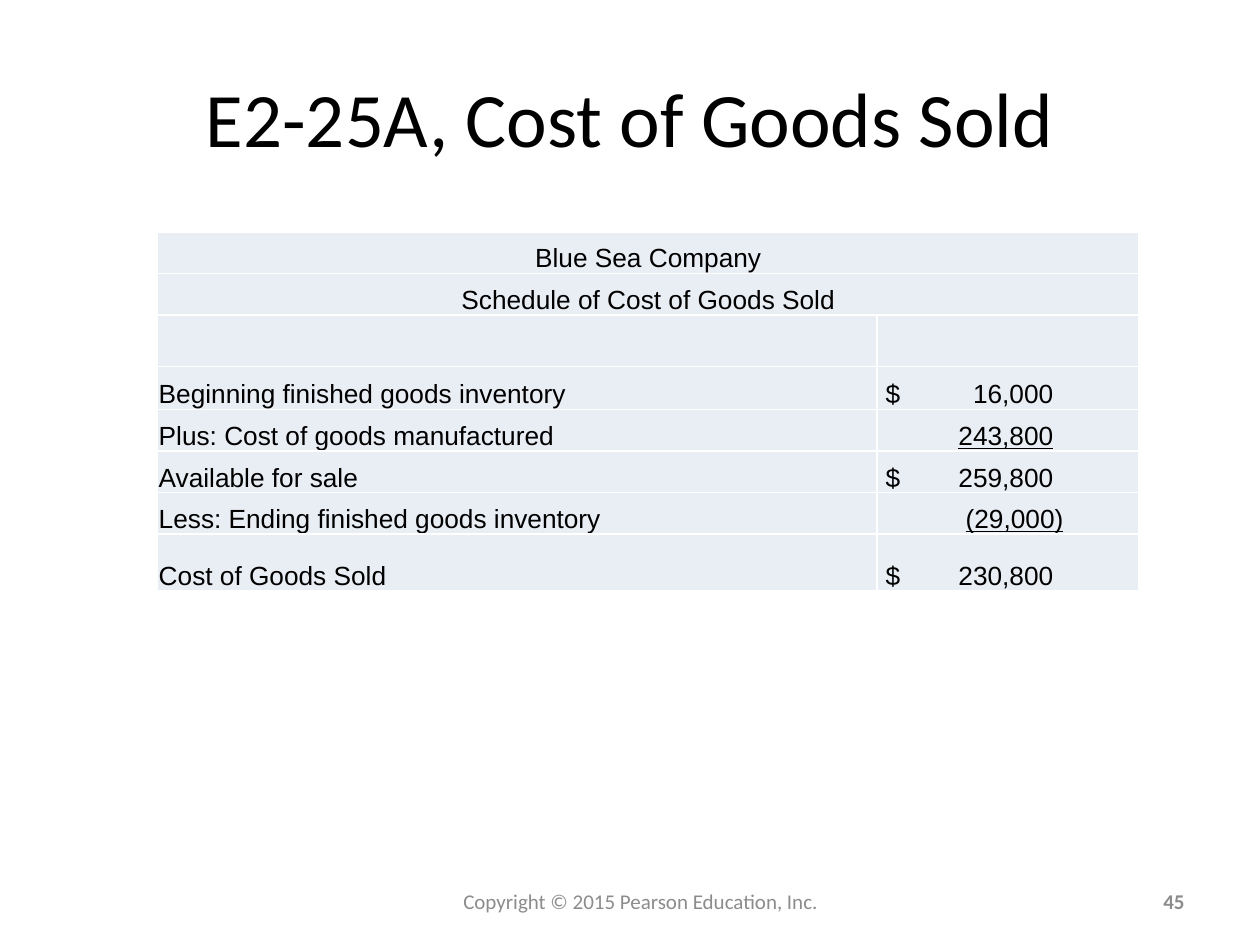
"""Build the cost of goods sold schedule slide."""
from lxml import etree
from pptx import Presentation, util as u
from pptx.dml.color import RGBColor
from pptx.enum import text
from pptx.oxml.ns import qn

LEFT, CENTER, RIGHT = text.PP_ALIGN.LEFT, text.PP_ALIGN.CENTER, text.PP_ALIGN.RIGHT


def color(value):
    return RGBColor.from_string(value)


def write(tf, content, size=15, font="Arial", fill="000000", align=LEFT,
          bold=False, underline=False, stops=()):
    p = tf.paragraphs[0]
    p.alignment = align
    if stops:
        tabs = etree.SubElement(p._p.get_or_add_pPr(), qn("a:tabLst"))
        for pos, side in stops:
            etree.SubElement(tabs, qn("a:tab"), pos=str(u.Inches(pos)), algn=side)
    r = p.add_run()
    r.text = content
    r.font.size = u.Pt(size)
    r.font.name = font
    r.font.bold = bold
    r.font.underline = underline
    r.font.color.rgb = color(fill)


prs = Presentation()
prs.slide_width, prs.slide_height = u.Inches(10), u.Inches(7.5)
s = prs.slides.add_slide(prs.slide_layouts[6])

labels = [
    ("E2-25A, Cost of Goods Sold", (0.5, 0.3, 9, 1.25), dict(size=44, align=CENTER)),
    ("45", (7.17, 6.95, 2.33, 0.4),
     dict(size=12, fill="8C8C8C", align=RIGHT, bold=True)),
    ("Copyright © 2015 Pearson Education, Inc.", (3.42, 6.95, 3.33, 0.4),
     dict(size=12, fill="8C8C8C", align=CENTER)),
]
for content, box, style in labels:
    tf = s.shapes.add_textbox(*[u.Inches(v) for v in box]).text_frame
    tf.word_wrap = True
    tf.vertical_anchor = text.MSO_ANCHOR.MIDDLE
    write(tf, content, font="Calibri", **style)

dollar = dict(stops=[(0.06, "l"), (1.39, "r")])
rows = [
    (0.33, "Blue Sea Company", None, {}),
    (0.33, "Schedule of Cost of Goods Sold", None, {}),
    (0.41, "", "", {}),
    (0.34, "Beginning finished goods inventory", "\t$\t16,000", dollar),
    (0.33, "Plus: Cost of goods manufactured", "\t243,800",
     dict(underline=True, stops=[(1.39, "r")])),
    (0.33, "Available for sale", "\t$\t259,800", dollar),
    (0.33, "Less: Ending finished goods inventory", "\t(29,000)",
     dict(underline=True, stops=[(1.47, "r")])),
    (0.45, "Cost of Goods Sold", "\t$\t230,800", dollar),
]
table = s.shapes.add_table(len(rows), 2, u.Inches(1.25), u.Inches(1.84),
                           u.Inches(7.79), u.Inches(2.85)).table
table.first_row = table.horz_banding = False
table.columns[0].width, table.columns[1].width = u.Inches(5.71), u.Inches(2.08)

for i, (height, label, amount, style) in enumerate(rows):
    table.rows[i].height = u.Inches(height)
    for cell in table.rows[i].cells:
        cell.margin_left = cell.margin_right = cell.margin_top = u.Inches(0.01)
        cell.margin_bottom = 0
        cell.vertical_anchor = text.MSO_ANCHOR.BOTTOM
        for side in ("lnL", "lnR", "lnT", "lnB"):
            ln = etree.SubElement(cell._tc.get_or_add_tcPr(), qn("a:" + side),
                                  w=str(u.Pt(1)))
            solid = etree.SubElement(ln, qn("a:solidFill"))
            etree.SubElement(solid, qn("a:srgbClr"), val="FFFFFF")
        cell.fill.solid()
        cell.fill.fore_color.rgb = color("E9EDF4")
    first, second = table.cell(i, 0), table.cell(i, 1)
    if amount is None:
        first.merge(second)
        write(first.text_frame, label, align=CENTER)
    elif label:
        write(first.text_frame, label)
        write(second.text_frame, amount, **style)

prs.save("out.pptx")
